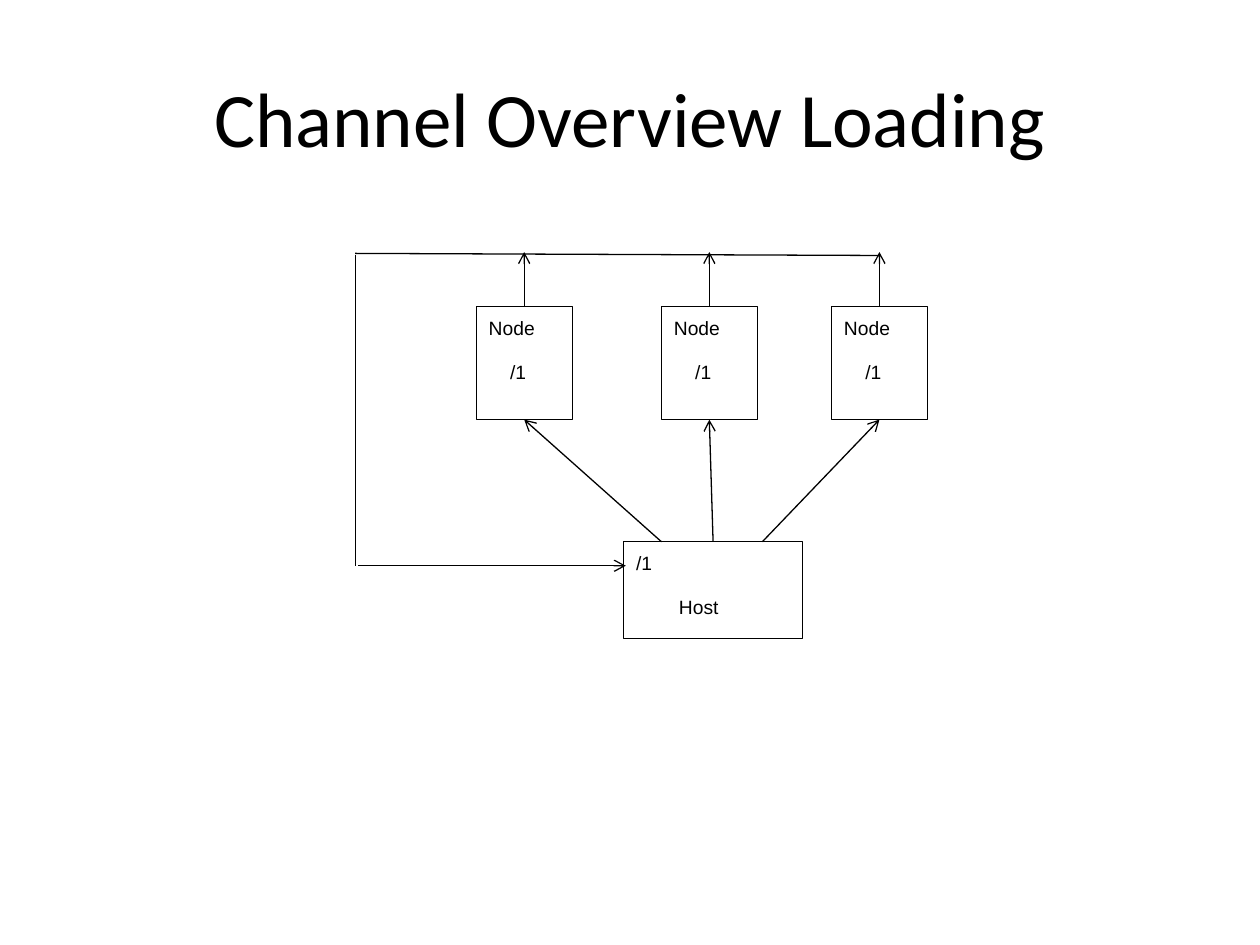
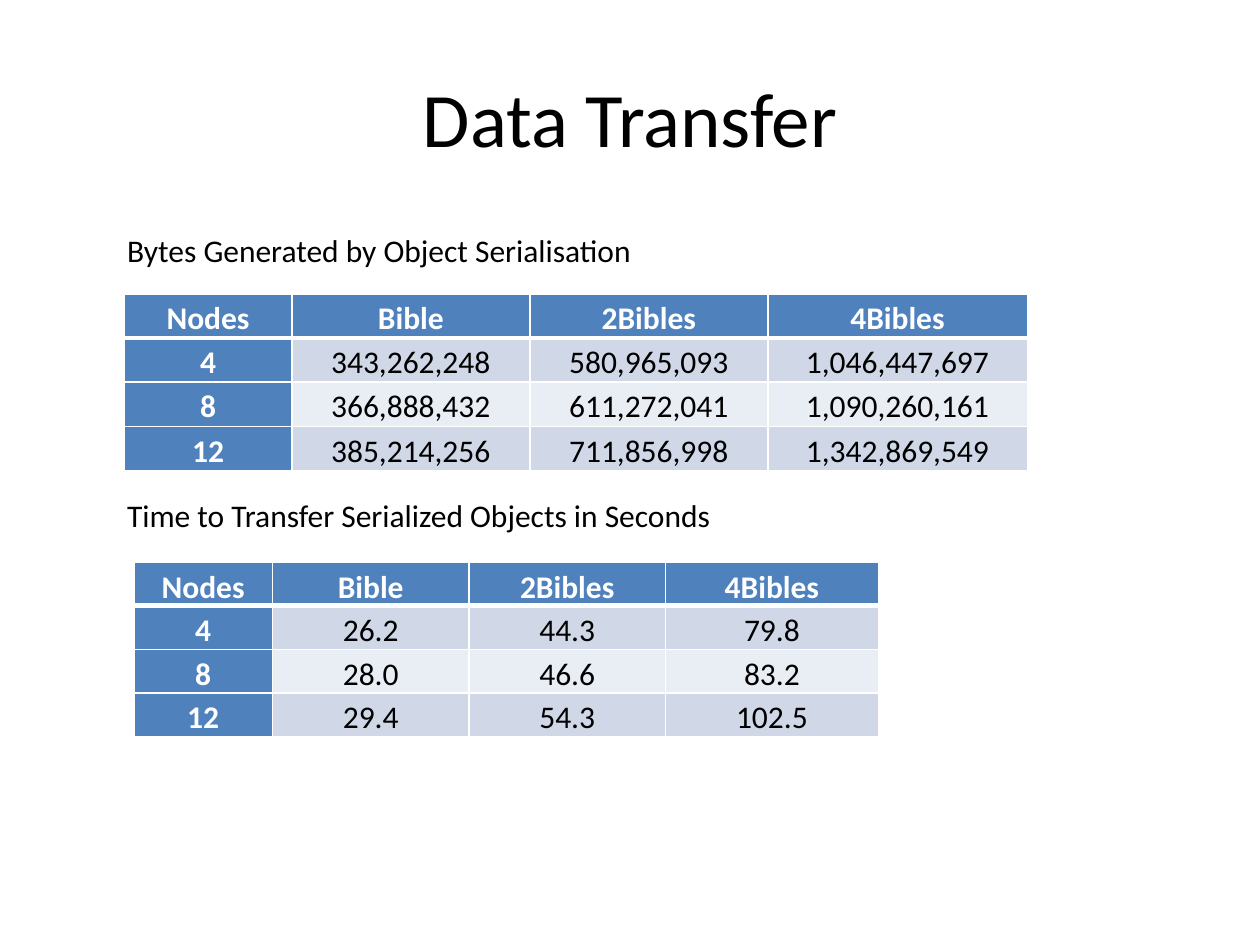
from lxml import etree
from pptx import Presentation
from pptx.dml.color import RGBColor
from pptx.enum.shapes import MSO_CONNECTOR, MSO_SHAPE
from pptx.enum.text import MSO_ANCHOR, MSO_AUTO_SIZE, PP_ALIGN
from pptx.oxml.ns import qn
from pptx.util import Pt

RECT = MSO_SHAPE.RECTANGLE
LINE = MSO_CONNECTOR.STRAIGHT
TOP, MIDDLE, BOTTOM = MSO_ANCHOR.TOP, MSO_ANCHOR.MIDDLE, MSO_ANCHOR.BOTTOM
LEFT, CENTER = PP_ALIGN.LEFT, PP_ALIGN.CENTER
FIT = MSO_AUTO_SIZE.SHAPE_TO_FIT_TEXT

BLACK = RGBColor(0x00, 0x00, 0x00)
WHITE = RGBColor(0xFF, 0xFF, 0xFF)
BLUE = RGBColor(0x4F, 0x81, 0xBD)
BANDS = RGBColor(0xD0, 0xD8, 0xE8), RGBColor(0xE9, 0xED, 0xF4)

# Diagram measures, in points
NODES = 272.2, 378, 475.2
NODE_TOP, NODE_W, NODE_H = 175, 54.7, 64.8
HOST = 356.4, 309.6, 102.2, 55.4
PORTS = 378, 407.5, 435.6
BUS_X, BUS_Y = 203, 146
BACK_Y = 323.3

HEAD = "Nodes", "Bible", "2Bibles", "4Bibles"
BYTES = [
    HEAD,
    ("4", "343,262,248", "580,965,093", "1,046,447,697"),
    ("8", "366,888,432", "611,272,041", "1,090,260,161"),
    ("12", "385,214,256", "711,856,998", "1,342,869,549"),
]
TIMES = [
    HEAD,
    ("4", "26.2", "44.3", "79.8"),
    ("8", "28.0", "46.6", "83.2"),
    ("12", "29.4", "54.3", "102.5"),
]


def style(para, size, face, color=BLACK, bold=False, align=LEFT):
    para.alignment = align
    for run in para.runs:
        font = run.font
        font.size, font.name, font.bold = Pt(size), face, bold
        font.color.rgb = color


def add_slide(deck, title):
    slide = deck.slides.add_slide(deck.slide_layouts[5])
    box = slide.shapes.title
    box.left, box.top, box.width, box.height = Pt(36), Pt(21.6), Pt(648), Pt(90)
    frame = box.text_frame
    frame.text = title
    frame.vertical_anchor = MIDDLE
    style(frame.paragraphs[0], 44, "Calibri", align=CENTER)
    return slide


def add_box(slide, place, lines, indent):
    """Draw a framed box whose second line is indented."""
    box = slide.shapes.add_shape(RECT, *map(Pt, place))
    box.shadow.inherit = False
    box.fill.solid()
    box.fill.fore_color.rgb = WHITE
    box.line.color.rgb = BLACK
    box.line.width = Pt(0.5)
    frame = box.text_frame
    frame.word_wrap = True
    frame.vertical_anchor = TOP
    frame.text = "\n".join(lines)
    for para in frame.paragraphs:
        para.line_spacing = 1.15
        para.space_after = Pt(10)
        style(para, 11, "Arial")
    frame.paragraphs[1]._p.get_or_add_pPr().set("marL", str(Pt(indent)))


def add_line(slide, start, end, arrow=False):
    line = slide.shapes.add_connector(LINE, *map(Pt, start + end))
    line.line.color.rgb = BLACK
    line.line.width = Pt(0.75)
    if arrow:
        ln = line.line._get_or_add_ln()
        etree.SubElement(ln, qn("a:tailEnd"), type="arrow")
    etree.SubElement(line._element.spPr, qn("a:effectLst"))


def add_label(slide, place, text):
    box = slide.shapes.add_textbox(*map(Pt, place))
    frame = box.text_frame
    frame.word_wrap = False
    frame.auto_size = FIT
    frame.text = text
    style(frame.paragraphs[0], 18, "Calibri")


def add_edge(cell, side, width):
    props = cell._tc.get_or_add_tcPr()
    edge = etree.SubElement(props, qn("a:ln" + side), w=str(Pt(width)))
    fill = etree.SubElement(edge, qn("a:solidFill"))
    etree.SubElement(fill, qn("a:srgbClr"), val=str(WHITE))


def fill_cell(cell, text, row, col):
    key = row == 0 or col == 0
    cell.margin_left = cell.margin_right = Pt(5)
    cell.margin_top = cell.margin_bottom = 0
    cell.vertical_anchor = BOTTOM
    # A thick rule parts the header from the body
    for side in "LRTB":
        thick = (row, side) in ((0, "B"), (1, "T"))
        add_edge(cell, side, 3 if thick else 1)
    cell.fill.solid()
    cell.fill.fore_color.rgb = BLUE if key else BANDS[(row - 1) % 2]
    cell.text = text
    para = cell.text_frame.paragraphs[0]
    para.line_spacing = 1.15
    style(para, 18, "Calibri", WHITE if key else BLACK, key, CENTER)


def add_grid(slide, left, top, widths, height, data):
    size = sum(widths), height * len(data)
    grid = slide.shapes.add_table(
        len(data), len(widths), *map(Pt, (left, top, *size))).table
    for col, width in zip(grid.columns, widths):
        col.width = Pt(width)
    for r, texts in enumerate(data):
        grid.rows[r].height = Pt(height)
        for c, text in enumerate(texts):
            fill_cell(grid.cell(r, c), text, r, c)


def draw_flow(deck):
    slide = add_slide(deck, "Channel Overview Loading")
    add_box(slide, HOST, ("/1", "Host"), 24.5)
    # Each node is fed by the host and writes to the bus
    for left, port in zip(NODES, PORTS):
        mid = left + NODE_W / 2
        add_box(slide, (left, NODE_TOP, NODE_W, NODE_H), ("Node", "/1"), 12.2)
        add_line(slide, (mid, NODE_TOP), (mid, 144), True)
        add_line(slide, (port, HOST[1]), (mid, NODE_TOP + NODE_H), True)
    # Bus back to the host
    add_line(slide, (mid, BUS_Y), (BUS_X, BUS_Y - 1.2))
    add_line(slide, (BUS_X, BUS_Y), (BUS_X, BACK_Y))
    add_line(slide, (BUS_X + 1.5, BACK_Y), (HOST[0] + 1.2, BACK_Y), True)


def draw_data(deck):
    slide = add_slide(deck, "Data Transfer")
    add_label(slide, (65.5, 128.2, 306, 29), "Bytes Generated by Object Serialisation")
    add_grid(slide, 71, 168, (95.8, 136, 136, 148.3), 25.2, BYTES)
    add_label(slide, (65.5, 280, 350, 29),
              "Time to Transfer Serialized Objects in Seconds")
    add_grid(slide, 76.5, 321.3, (79.2, 112.3, 112.3, 121.7), 24.7, TIMES)


def main():
    deck = Presentation()
    deck.slide_width, deck.slide_height = Pt(720), Pt(540)
    draw_flow(deck)
    draw_data(deck)
    deck.save("out.pptx")


if __name__ == "__main__":
    main()
